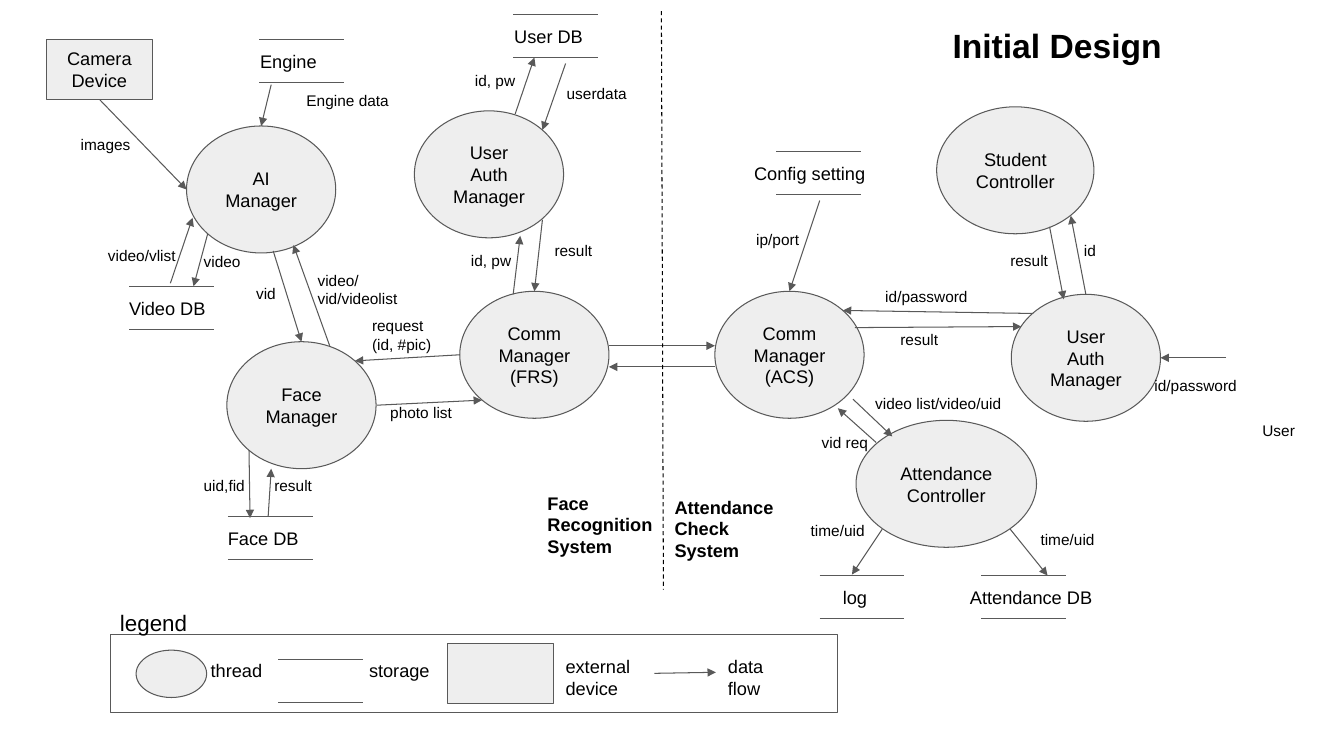
"""Build the Initial Design data flow slide for a face recognition attendance system."""
import pptx
import pptx.dml.color
import pptx.enum.dml
import pptx.enum.shapes
import pptx.enum.text
import pptx.oxml
import pptx.oxml.ns
import pptx.util

Inches = pptx.util.Inches
Pt = pptx.util.Pt
OVAL = pptx.enum.shapes.MSO_SHAPE.OVAL
RECTANGLE = pptx.enum.shapes.MSO_SHAPE.RECTANGLE

COLORS = {"ink": "000000", "outline": "595959", "node": "EEEEEE", "paper": "FFFFFF"}
FONT = "Arial"
NODE_SIZE, LABEL_SIZE = 13, 11
THREAD_W, THREAD_H = 1.48, 1.26
DEVICE_W, DEVICE_H = 1.05, 0.6
STORE_W, STORE_H = 0.84, 0.43

THREADS = [
    ("Comm Manager\n(FRS)", 4.56, 2.89, THREAD_W),
    ("Comm Manager\n(ACS)", 7.09, 2.89, THREAD_W),
    ("AI Manager", 1.85, 1.25, THREAD_W),
    ("Face\nManager", 2.25, 3.39, THREAD_W),
    ("User Auth\nManager", 4.11, 1.1, THREAD_W),
    ("User\nAuth\nManager", 10.03, 2.92, THREAD_W),
    ("Student\nController", 9.29, 1.06, 1.56),
    ("Attendance Controller", 8.49, 4.17, 1.79),
]

STORES = [
    ("Engine", 2.57, 0.39, 2.45, 1.28),
    ("Video DB", 1.28, 2.84, 1.15, 1.28),
    ("Face DB", 2.26, 5.12, 2.13, 1.28),
    ("User DB", 5.09, 0.14, 4.97, 1.28),
    ("log", 8.13, 5.71, 8.23, 1.28),
    ("Attendance DB", 9.73, 5.71, 9.49, 1.79),
    ("Config setting", 7.7, 1.5, 7.35, 1.56),
]

FLOWS = [
    (0.99, 0.99, 1.85, 1.88),
    (2.69, 0.84, 2.59, 1.25),
    (1.69, 2.81, 1.91, 2.16),
    (2.06, 2.32, 1.92, 2.84),
    (2.71, 2.49, 2.99, 3.39),
    (3.27, 3.43, 2.91, 2.43),
    (2.47, 4.47, 2.48, 5.14),
    (2.66, 5.12, 2.69, 4.65),
    (5.11, 1.13, 5.3, 0.57),
    (5.61, 0.63, 5.38, 1.29),
    (5.09, 2.92, 5.16, 2.34),
    (5.38, 2.18, 5.3, 2.89),
    (4.56, 3.52, 3.52, 3.58),
    (3.74, 4.02, 4.78, 3.97),
    (7.09, 3.64, 6.04, 3.64),
    (6.04, 3.43, 7.09, 3.43),
    (8.13, 1.99, 7.83, 2.89),
    (10.25, 3.11, 8.36, 3.08),
    (8.48, 3.25, 10.13, 3.24),
    (10.77, 2.92, 10.62, 2.14),
    (10.41, 2.25, 10.55, 2.97),
    (12.16, 3.55, 11.51, 3.55),
    (8.46, 3.96, 8.85, 4.33),
    (8.69, 4.39, 8.31, 4.05),
    (8.75, 5.25, 8.45, 5.7),
    (10.02, 5.25, 10.39, 5.71),
]

FLOW_LABELS = [
    ("Engine data", 2.91, 0.81),
    ("images", 0.67, 1.25),
    ("video/vlist", 0.94, 2.35),
    ("video", 1.89, 2.41),
    ("vid", 2.41, 2.73),
    ("video/\nvid/videolist", 3.02, 2.56),
    ("uid,fid", 1.89, 4.63),
    ("result", 2.59, 4.63),
    ("id, pw", 4.58, 0.61),
    ("userdata", 5.49, 0.74),
    ("id, pw", 4.54, 2.4),
    ("result", 5.37, 2.3),
    ("request\n(id, #pic)", 3.56, 3.01),
    ("photo list", 3.74, 3.91),
    ("ip/port", 7.37, 2.19),
    ("id/password", 8.65, 2.76),
    ("result", 8.8, 3.18),
    ("result", 9.89, 2.4),
    ("id", 10.62, 2.3),
    ("id/password", 11.32, 3.64),
    ("User", 12.39, 4.09),
    ("vid req", 8.02, 4.2),
    ("video list/video/uid", 8.55, 3.82),
    ("time/uid", 7.91, 5.08),
    ("time/uid", 10.19, 5.17),
]


def rgb(name):
    """Return the named colour."""
    return pptx.dml.color.RGBColor.from_string(COLORS[name])


def write(frame, text, size, bold=False, align=pptx.enum.text.PP_ALIGN.LEFT, inset=0.13):
    """Fill a text frame with one paragraph for each line of text."""
    frame.word_wrap = True
    frame.margin_left = frame.margin_right = Inches(inset)
    frame.margin_top = frame.margin_bottom = Inches(inset)
    for index, line in enumerate(text.split("\n")):
        paragraph = frame.add_paragraph() if index else frame.paragraphs[0]
        paragraph.alignment = align
        run = paragraph.add_run()
        run.text = line
        run.font.name, run.font.size, run.font.bold = FONT, Pt(size), bold
        run.font.color.rgb = rgb("ink")


def add_label(slide, text, left, top, width, height, size=NODE_SIZE, **style):
    """Add free-standing text."""
    label = slide.shapes.add_textbox(Inches(left), Inches(top), Inches(width), Inches(height))
    write(label.text_frame, text, size, **style)


def add_node(slide, kind, left, top, width, height, text="", fill="node"):
    """Add an outlined shape with optional centred text."""
    node = slide.shapes.add_shape(kind, Inches(left), Inches(top), Inches(width), Inches(height))
    node.shadow.inherit = False
    node.fill.solid()
    node.fill.fore_color.rgb = rgb(fill)
    node.line.color.rgb = rgb("outline")
    node.line.width = Pt(0.75)
    if text:
        node.text_frame.vertical_anchor = pptx.enum.text.MSO_ANCHOR.MIDDLE
        write(node.text_frame, text, NODE_SIZE, align=pptx.enum.text.PP_ALIGN.CENTER)


def add_rule(slide, x1, y1, x2, y2, color="outline"):
    """Add a thin straight line and return it."""
    rule = slide.shapes.add_connector(
        pptx.enum.shapes.MSO_CONNECTOR.STRAIGHT, Inches(x1), Inches(y1), Inches(x2), Inches(y2))
    rule.line.color.rgb = rgb(color)
    rule.line.width = Pt(0.75)
    rule._element.spPr.append(pptx.oxml.parse_xml(
        "<a:effectLst %s/>" % pptx.oxml.ns.nsdecls("a")))
    return rule


def add_flow(slide, x1, y1, x2, y2):
    """Add a data flow arrow."""
    flow = add_rule(slide, x1, y1, x2, y2)
    flow.line._get_or_add_ln().append(pptx.oxml.parse_xml(
        '<a:tailEnd type="triangle" %s/>' % pptx.oxml.ns.nsdecls("a")))


def add_store(slide, left, top):
    """Add the two parallel lines of a storage symbol."""
    for y in (top, top + STORE_H):
        add_rule(slide, left, y, left + STORE_W, y)


def add_legend(slide):
    """Add the framed key to the symbols."""
    add_node(slide, RECTANGLE, 1.1, 6.29, 7.21, 0.78, fill="paper")
    add_label(slide, "legend", 1.06, 5.91, 1.28, 0.54, 16)
    add_node(slide, OVAL, 1.35, 6.45, 0.7, 0.47)
    add_label(slide, "thread", 1.96, 6.43, 1.56, 0.49)
    add_store(slide, 2.76, 6.54)
    add_label(slide, "storage", 3.53, 6.43, 1.28, 0.49)
    add_node(slide, RECTANGLE, 4.44, 6.38, DEVICE_W, DEVICE_H)
    add_label(slide, "external\ndevice", 5.48, 6.37, 1, 0.71)
    add_flow(slide, 6.49, 6.68, 7.1, 6.67)
    add_label(slide, "data\nflow", 7.09, 6.37, 1, 0.71)


def main():
    """Build and save the slide."""
    deck = pptx.Presentation()
    deck.slide_width, deck.slide_height = Inches(13.33), Inches(7.5)
    slide = deck.slides.add_slide(deck.slide_layouts[6])
    add_node(slide, RECTANGLE, 0.46, 0.39, DEVICE_W, DEVICE_H, "Camera Device")
    for text, left, top, width in THREADS:
        add_node(slide, OVAL, left, top, width, THREAD_H, text)
    for text, left, top, label_left, label_width in STORES:
        add_store(slide, left, top)
        add_label(slide, text, label_left, top, label_width, 0.49)
    for flow in FLOWS:
        add_flow(slide, *flow)
    for text, left, top in FLOW_LABELS:
        width = 1.56 if len(text) > 18 and "\n" not in text else 1.18
        add_label(slide, text, left, top, width, 0.64 if "\n" in text else 0.45, LABEL_SIZE)
    add_legend(slide)
    divider = add_rule(slide, 6.56, 0.11, 6.58, 5.85, "ink")
    divider.line.dash_style = pptx.enum.dml.MSO_LINE.DASH
    add_label(slide, "Face Recognition System", 5.3, 4.75, 1.65, 0.93, bold=True)
    add_label(slide, "Attendance\nCheck\nSystem", 6.56, 4.79, 1.65, 0.93, bold=True)
    add_label(slide, "Initial Design", 9.35, 0.15, 2.37, 0.61, 24, bold=True, inset=0.1)
    deck.save("out.pptx")


if __name__ == "__main__":
    main()
